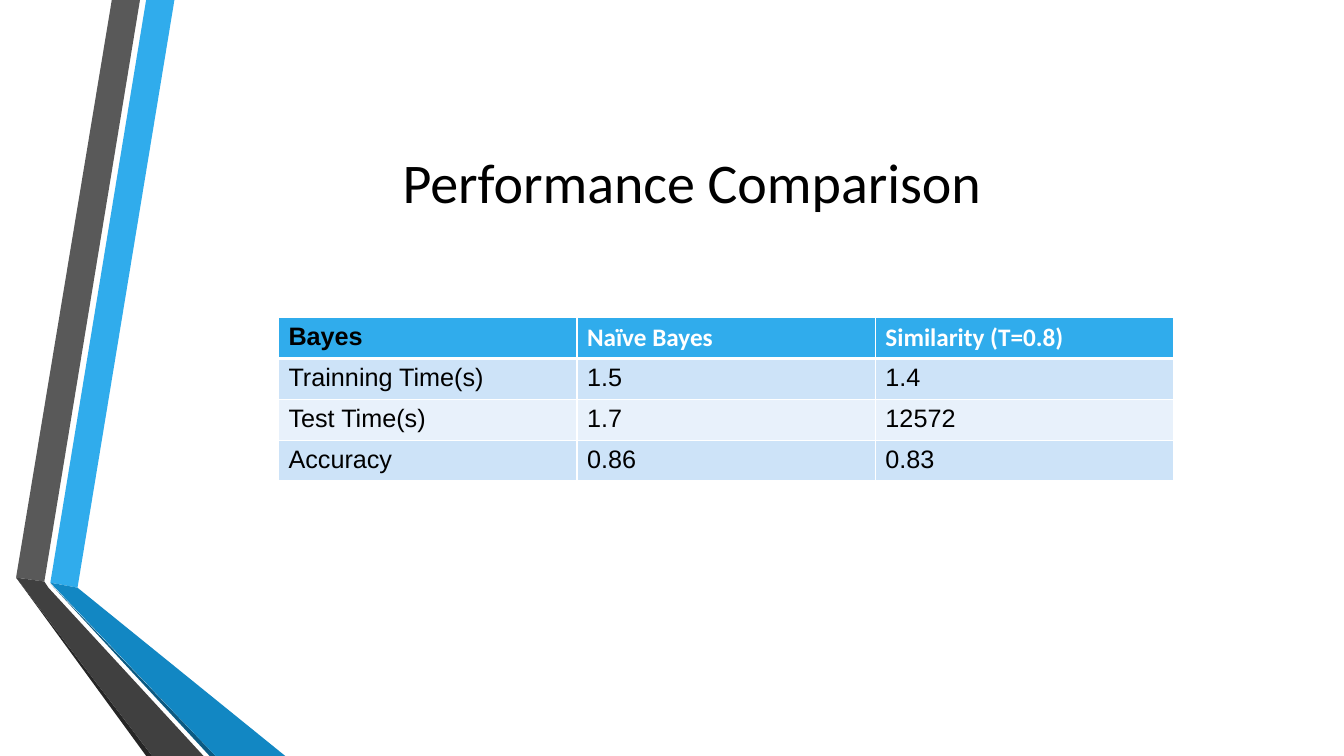
"""Build the performance comparison slide."""
from lxml.etree import SubElement as Sub
from pptx import Presentation as Deck
from pptx.dml.color import RGBColor as Rgb
from pptx.enum.text import MSO_ANCHOR as Anchor, PP_ALIGN as Align
from pptx.oxml.ns import qn
from pptx.util import Pt

HUES = {"sky": "30ACEC", "grey": "595959", "soot": "262626", "navy": "0C5A82",
        "blue": "1287C3", "coal": "404040", "pale": "CDE3F8", "mist": "E8F1FB",
        "white": "FFFFFF", "black": "000000"}

BANDS = [
    ("sky", [(36, 416.2), (55.4, 419.8), (124.6, 0), (104.4, 0)]),
    ("grey", [(100, 0), (79.9, 0), (11.5, 412.6), (31.7, 415.4)]),
    ("soot", [(11.5, 412.6), (104.4, 540), (108.7, 540)]),
    ("navy", [(36, 416.9), (149.8, 540), (154.1, 540)]),
    ("blue", [(36, 416.2), (154.1, 540), (203.8, 540), (55.4, 419.8)]),
    ("coal", [(145.4, 540), (34.6, 419.8), (31.7, 415.4), (11.5, 412.6), (108.7, 540)]),
]

ROWS = [
    ("Bayes", "Naïve Bayes", "Similarity (T=0.8)"),
    ("Trainning Time(s)", "1.5", "1.4"),
    ("Test Time(s)", "1.7", "12572"),
    ("Accuracy", "0.86", "0.83"),
]


def hue(name):
    return Rgb.from_string(HUES[name])


def apply(item, form):
    for key, value in form.items():
        setattr(item, key, value)


def paint(item, name):
    item.fill.solid()
    item.fill.fore_color.rgb = hue(name)


def style(para, color, form):
    apply(para.font, form)
    para.font.color.rgb = hue(color)


def add_band(slide, name, dots):
    first, *rest = [(Pt(x), Pt(y)) for x, y in dots]
    pen = slide.shapes.build_freeform(*first)
    pen.add_line_segments(rest)
    band = pen.convert_to_shape()
    band.shadow.inherit = False
    paint(band, name)
    band.line.fill.background()


def set_title(slide, text):
    title = slide.shapes.title
    apply(title, {"left": Pt(147.6), "top": Pt(77.8),
                  "width": Pt(676.8), "height": Pt(103.7)})
    frame = title.text_frame
    frame.text = text
    apply(frame, {"margin_left": Pt(140), "margin_top": 0, "margin_right": 0,
                  "margin_bottom": 0, "vertical_anchor": Anchor.MIDDLE})
    para = frame.paragraphs[0]
    para.alignment = Align.LEFT
    style(para, "black", {"name": "Calibri", "size": Pt(40)})


def edge(cell, sides):
    props = cell._tc.get_or_add_tcPr()
    for side, width in sides.items():
        line = Sub(props, qn(f"a:ln{side}"), w=str(Pt(width)))
        fill = Sub(line, qn("a:solidFill"))
        Sub(fill, qn("a:srgbClr"), val=HUES["white"])


def add_grid(slide, rows):
    frame = slide.shapes.add_table(len(rows), len(rows[0]), Pt(198.9), Pt(226.8),
                                   Pt(639.6), Pt(116.8))
    grid = frame.table
    for r, row in enumerate(rows):
        head = r == 0
        for c, text in enumerate(row):
            cell = grid.cell(r, c)
            cell.text = text
            label = head and c > 0
            style(cell.text_frame.paragraphs[0], "white" if label else "black",
                  {"name": "Calibri" if label else "Arial", "size": Pt(18), "bold": head})
            edge(cell, {"L": 1, "R": 1, "T": 3 if r == 1 else 1, "B": 3 if head else 1})
            paint(cell, "sky" if head else "pale" if r % 2 else "mist")


def main():
    deck = Deck()
    apply(deck, {"slide_width": Pt(960), "slide_height": Pt(540)})
    slide = deck.slides.add_slide(deck.slide_layouts[5])
    for name, dots in BANDS:
        add_band(slide, name, dots)
    set_title(slide, "Performance Comparison")
    add_grid(slide, ROWS)
    deck.save("out.pptx")


main()
